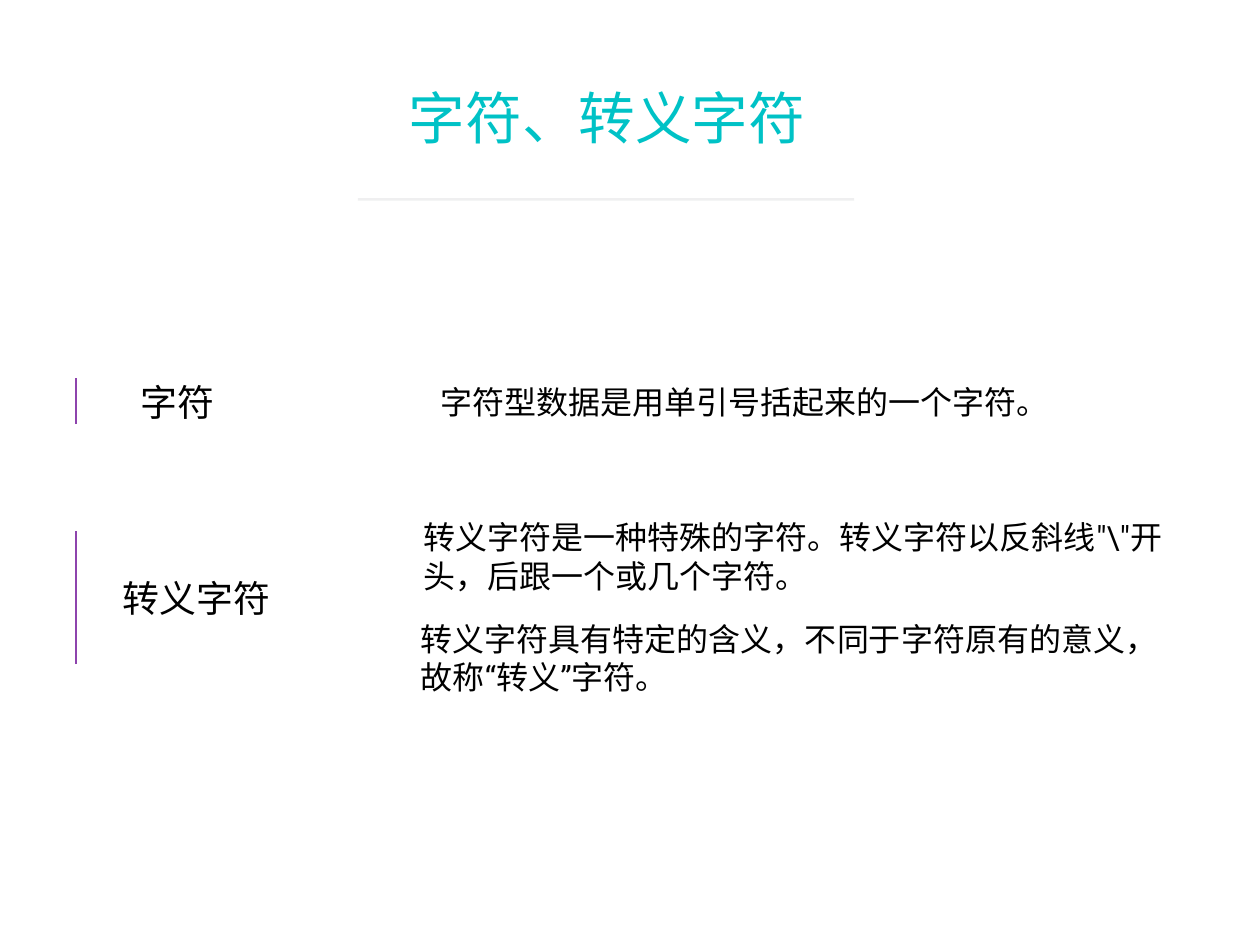
"""Build the slide on characters and escape characters."""
import pptx
import pptx.util
import pptx.dml.color
import pptx.enum.shapes
import pptx.enum.text
import pptx.oxml.ns
from lxml import etree

Inches = pptx.util.Inches
TEAL = pptx.dml.color.RGBColor(0x00, 0xC2, 0xC6)
GREY = pptx.dml.color.RGBColor(0x85, 0x88, 0x8D)
PURPLE = pptx.dml.color.RGBColor(0x8E, 0x44, 0xAD)
BLACK = pptx.dml.color.RGBColor(0x00, 0x00, 0x00)
CENTER = pptx.enum.text.PP_ALIGN.CENTER
LEFT = pptx.enum.text.PP_ALIGN.LEFT


class SlideWriter:
    """Holds the style and the current slide."""

    inset = Inches(0.06)
    line_width = pptx.util.Pt(2)
    label_style = {"size": 30, "font": "Noto Sans CJK KR"}
    body_style = {"size": 26, "font": "Roboto"}

    def __init__(self, slide):
        self.slide = slide

    def text(self, words, *, at, size, font, color=BLACK, align=CENTER, wrap=True):
        """Add a vertically centred text box."""
        box = self.slide.shapes.add_textbox(*(Inches(length) for length in at))
        frame = box.text_frame
        frame.margin_left = frame.margin_right = self.inset
        frame.margin_top = frame.margin_bottom = self.inset
        frame.vertical_anchor = pptx.enum.text.MSO_ANCHOR.MIDDLE
        frame.word_wrap = wrap
        frame.auto_size = pptx.enum.text.MSO_AUTO_SIZE.SHAPE_TO_FIT_TEXT
        paragraph = frame.paragraphs[0]
        paragraph.alignment = align
        run = paragraph.add_run()
        run.text = words
        run.font.size = pptx.util.Pt(size)
        run.font.color.rgb = color
        run.font.name = font
        east_asian = etree.SubElement(run.font._element, pptx.oxml.ns.qn("a:ea"))
        east_asian.set("typeface", font)

    def line(self, start, end, color, opacity=100):
        """Add a straight line without shadow."""
        rule = self.slide.shapes.add_connector(
            pptx.enum.shapes.MSO_CONNECTOR.STRAIGHT,
            *(Inches(length) for length in start + end))
        rule.line.width = self.line_width
        rule.line.color.rgb = color
        properties = rule._element.spPr
        if opacity < 100:
            tint = properties.find(".//" + pptx.oxml.ns.qn("a:srgbClr"))
            alpha = etree.SubElement(tint, pptx.oxml.ns.qn("a:alpha"))
            alpha.set("val", str(opacity * 1000))
        etree.SubElement(properties, pptx.oxml.ns.qn("a:effectLst"))

    def term(self, name, at, bar_top, bar_bottom):
        """Add a term with the bar on its left."""
        self.text(name, at=at, **self.label_style)
        self.line((0.86, bar_bottom), (0.86, bar_top), PURPLE)

    def definition(self, words, at, **layout):
        """Add the explanation of a term."""
        self.text(words, at=at, **self.body_style, **layout)


def main():
    """Build and save the presentation."""
    deck = pptx.Presentation()
    deck.slide_width = Inches(14.22)
    deck.slide_height = Inches(10.67)
    writer = SlideWriter(deck.slides.add_slide(deck.slide_layouts[6]))

    writer.text("字符、转义字符", at=(4.55, 0.81, 4.6, 1.01), size=46,
                font="Noto Sans", color=TEAL, wrap=False)
    writer.line((4.04, 2.25), (9.64, 2.25), GREY, opacity=13)

    writer.term("字符", (1.48, 4.17, 1.04, 0.74), 4.27, 4.79)
    writer.definition("字符型数据是用单引号括起来的一个字符。",
                      (4.73, 4.22, 6.99, 0.63), wrap=False)

    writer.term("转义字符", (1.28, 6.38, 1.88, 0.74), 6, 7.5)
    writer.definition('转义字符是一种特殊的字符。转义字符以反斜线"\\"开头，后跟一个或几个字符。',
                      (4.72, 5.71, 8.64, 1.14), align=LEFT)
    writer.definition("转义字符具有特定的含义，不同于字符原有的意义，故称“转义”字符。",
                      (4.69, 6.86, 8.52, 1.14), align=LEFT)

    deck.save("out.pptx")


if __name__ == "__main__":
    main()
